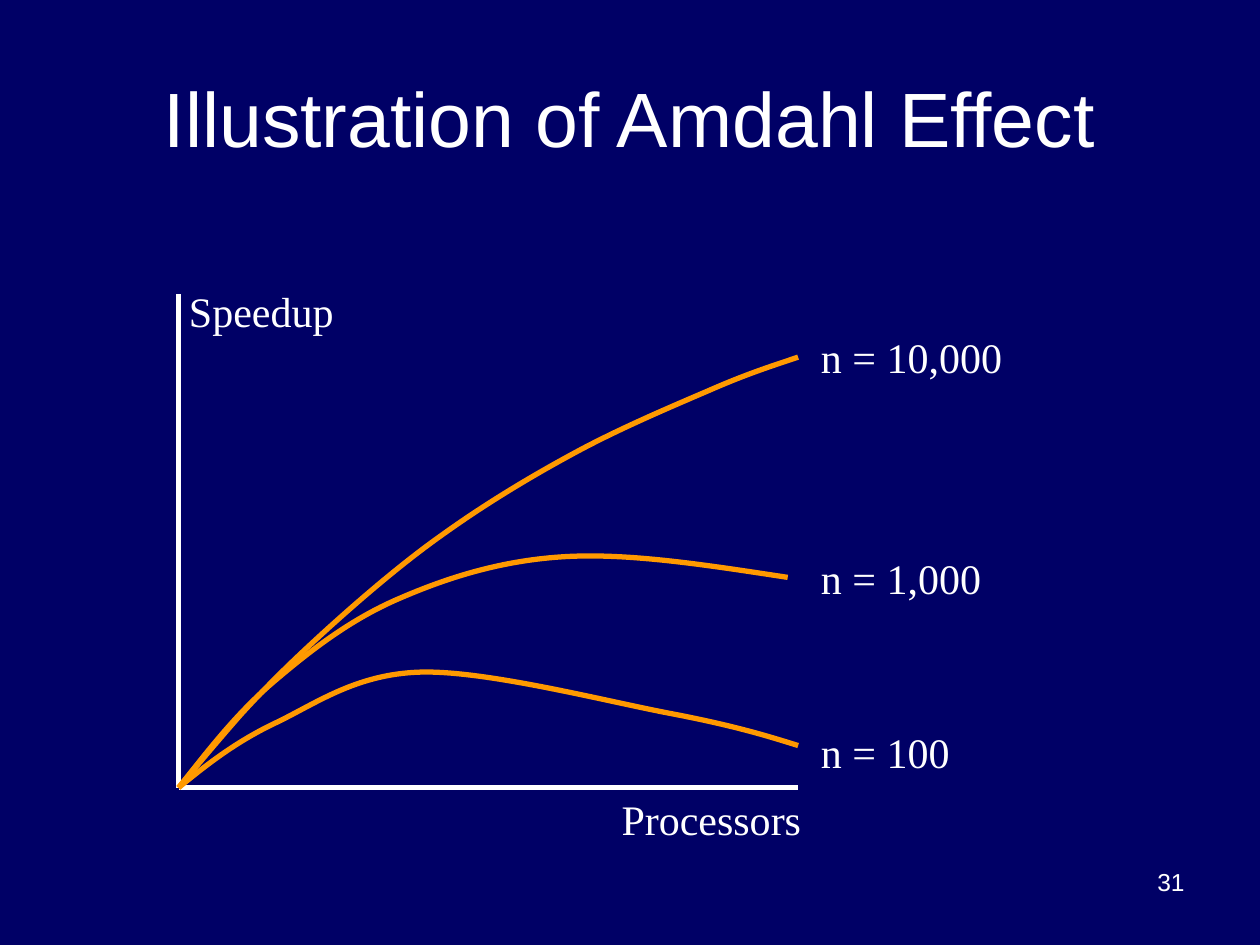
from lxml.etree import SubElement
from pptx import Presentation
from pptx.dml.color import RGBColor
from pptx.enum.shapes import MSO_CONNECTOR as Connector
from pptx.enum.text import MSO_ANCHOR as Anchor, MSO_AUTO_SIZE as AutoSize, PP_ALIGN as Align
from pptx.oxml.ns import qn
from pptx.util import Cm, Pt

COLORS = {"background": "000066", "text": "FFFFFF", "curve": "FF9900"}


def style_text(shape, text, font_name, size, align):
    shape.text_frame.text = text
    paragraph = shape.text_frame.paragraphs[0]
    paragraph.alignment = align
    font = paragraph.runs[0].font
    font.name, font.size = font_name, Pt(size)
    font.color.rgb = RGBColor.from_string(COLORS["text"])


def add_label(shapes, text, left, top, width):
    label = shapes.add_textbox(Cm(left), Cm(top), Cm(width), Cm(1.27))
    label.text_frame.word_wrap = False
    label.text_frame.auto_size = AutoSize.SHAPE_TO_FIT_TEXT
    style_text(label, text, "Times New Roman", 24, Align.LEFT)


presentation = Presentation()
presentation.slide_width, presentation.slide_height = Cm(25.4), Cm(19.05)
slide = presentation.slides.add_slide(presentation.slide_layouts[5])
slide.background.fill.solid()
slide.background.fill.fore_color.rgb = RGBColor.from_string(COLORS["background"])

# Title
title = slide.shapes.title
title.left, title.top, title.width, title.height = Cm(1.27), Cm(0.76), Cm(22.86), Cm(3.18)
title.text_frame.vertical_anchor = Anchor.MIDDLE
style_text(title, "Illustration of Amdahl Effect", "Arial", 44, Align.CENTER)

# Axes
origin = (3.6, 15.88)
axes = [((3.6, 5.93), origin), (origin, (16.09, 15.88))]
for (x1, y1), (x2, y2) in axes:
    axis = slide.shapes.add_connector(Connector.STRAIGHT, Cm(x1), Cm(y1), Cm(x2), Cm(y2))
    axis.line.color.rgb = RGBColor.from_string(COLORS["text"])
    axis.line.width = Pt(3)
    SubElement(axis._element.spPr, qn("a:effectLst"))

# Speedup curves: label, label top, label width, Bézier pieces (two controls and an end)
curves = [
    ("n = 100", 14.52, 3.12, [
        ((4.14, 15.44), (4.7, 14.99), (5.5, 14.6)),
        ((6.32, 14.22), (7.14, 13.59), (8.47, 13.55)),
        ((9.8, 13.51), (12.27, 14.15), (13.55, 14.39)),
        ((14.8, 14.63), (15.45, 14.83), (16.09, 15.03)),
    ]),
    ("n = 1,000", 11.01, 3.75, [
        ((4.19, 15.14), (4.75, 14.4), (5.5, 13.76)),
        ((6.25, 13.12), (7.06, 12.49), (8.04, 12.07)),
        ((9.03, 11.64), (10.13, 11.29), (11.43, 11.22)),
        ((12.73, 11.15), (14.3, 11.4), (15.88, 11.64)),
    ]),
    ("n = 10,000", 6.56, 4.18, [
        ((4.02, 15.38), (4.43, 14.89), (4.87, 14.39)),
        ((5.32, 13.9), (5.7, 13.51), (6.35, 12.91)),
        ((7, 12.31), (8, 11.43), (8.89, 10.8)),
        ((9.78, 10.16), (10.71, 9.6), (11.64, 9.1)),
        ((12.57, 8.6), (13.65, 8.15), (14.39, 7.83)),
        ((15.13, 7.51), (15.62, 7.36), (16.09, 7.2)),
    ]),
]
for text, label_top, label_width, pieces in curves:
    group = slide.shapes.add_group_shape()
    builder = group.shapes.build_freeform(Cm(origin[0]), Cm(origin[1]))
    builder.add_line_segments([(Cm(x), Cm(y)) for *_, (x, y) in pieces], close=False)
    curve = builder.convert_to_shape()
    curve.shadow.inherit = False
    curve.fill.background()
    curve.line.color.rgb = RGBColor.from_string(COLORS["curve"])
    curve.line.width = Pt(3)

    # Turn each straight segment into a cubic Bézier piece
    segments = list(curve._element.iter(qn("a:lnTo")))
    outline = segments[0].getparent()
    for segment, piece in zip(segments, pieces):
        outline.remove(segment)
        bezier = SubElement(outline, qn("a:cubicBezTo"))
        for x, y in piece:
            SubElement(bezier, qn("a:pt"), x=str(Cm(x) - curve.left), y=str(Cm(y) - curve.top))

    add_label(group.shapes, text, 16.3, label_top, label_width)

# Axis names
add_label(slide.shapes, "Speedup", 3.56, 5.63, 3.45)
add_label(slide.shapes, "Processors", 12.28, 15.88, 4.15)

# Slide number
number = slide.shapes.add_textbox(Cm(18.21), Cm(17.35), Cm(5.92), Cm(1.32))
number.text_frame.word_wrap = True
style_text(number, "31", "Arial", 14, Align.RIGHT)

presentation.save("out.pptx")
